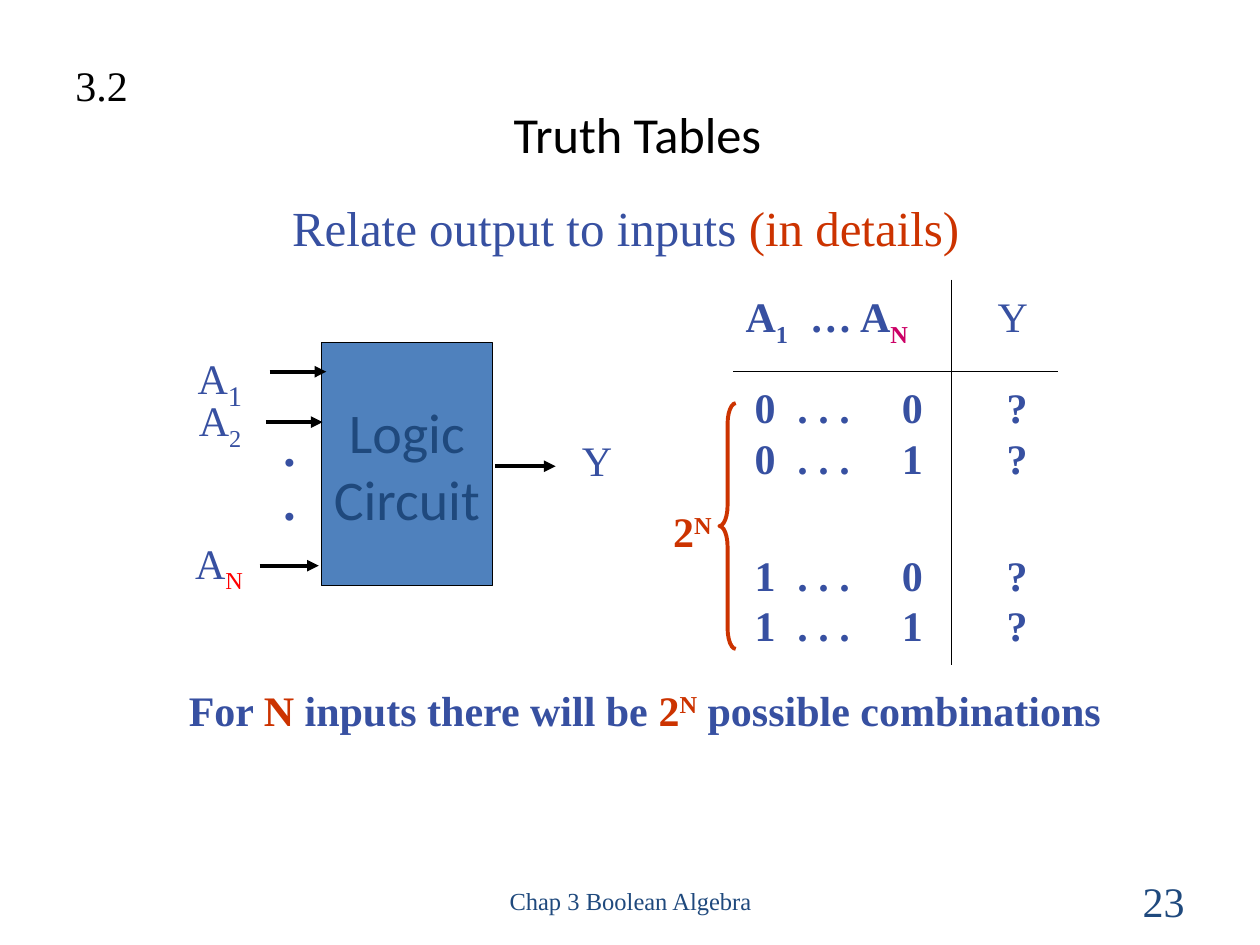
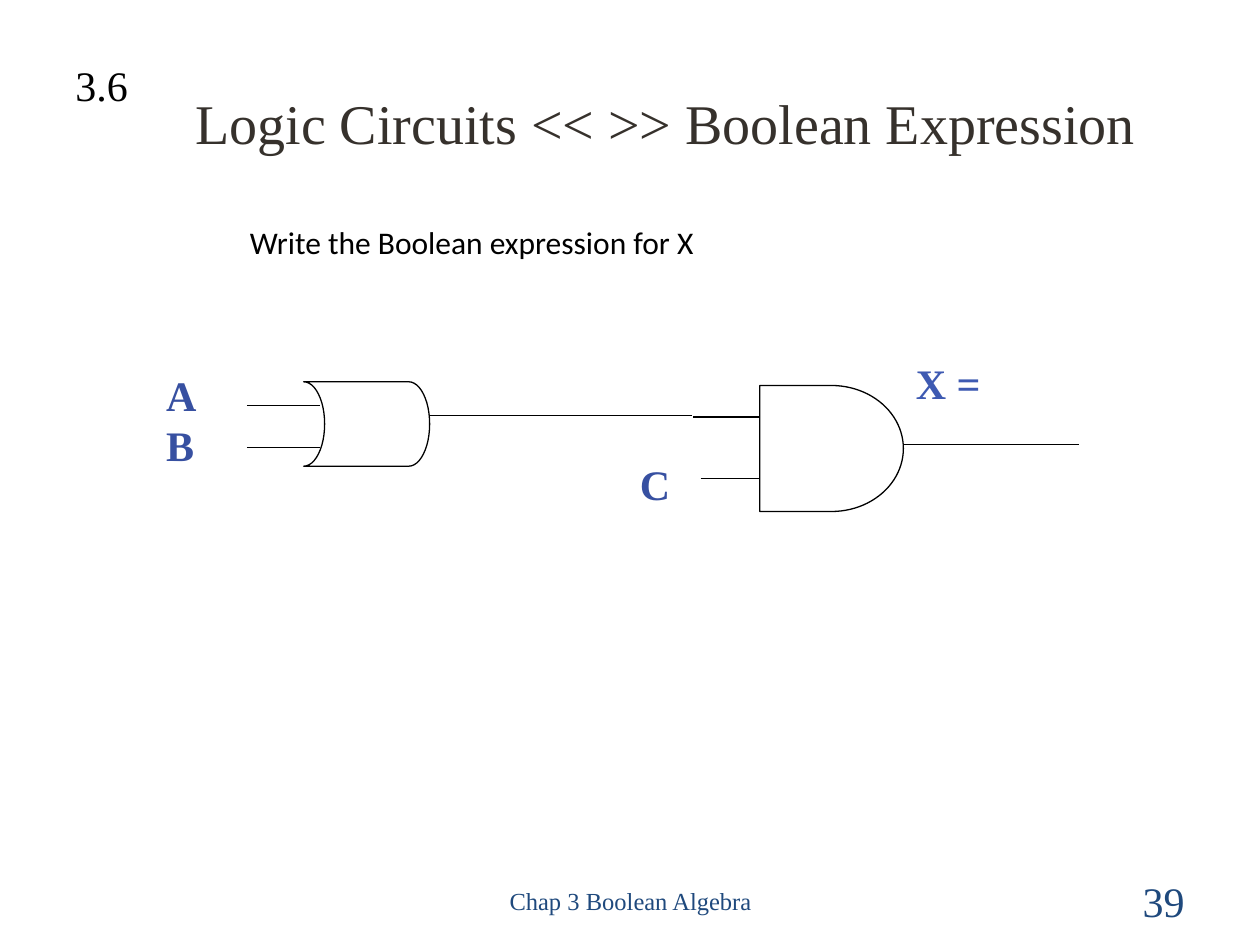
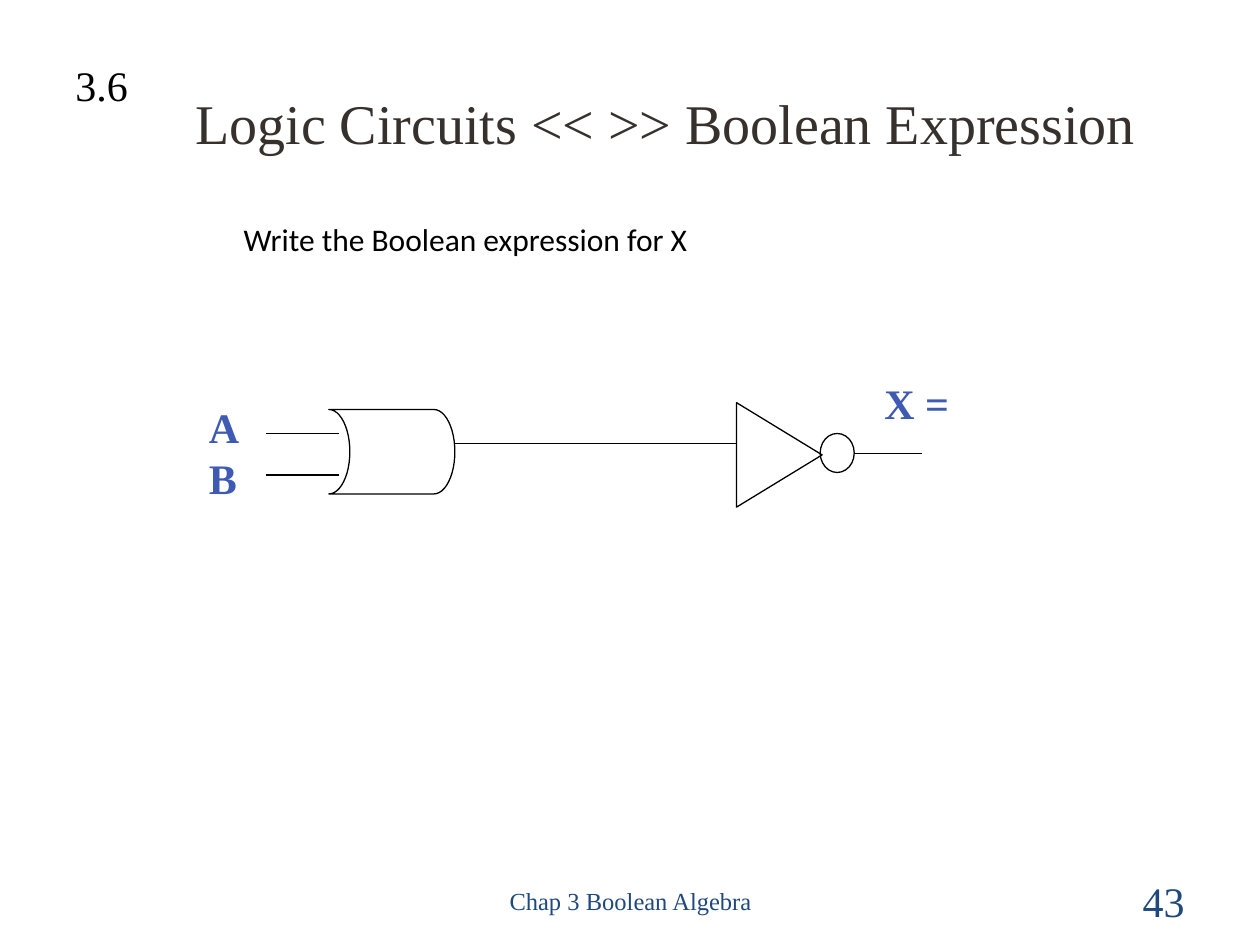
from lxml import etree
from pptx import Presentation
from pptx.dml.color import RGBColor
from pptx.enum import shapes, text
from pptx.oxml.ns import qn
from pptx.util import Inches, Pt

COLOURS = {
    "black": "000000",
    "ink": "36312C",
    "navy": "1F497D",
    "blue": "3750A1",
    "bright": "3E5AB2",
    "box": "4F81BD",
    "rust": "CC3300",
    "pink": "CC0066",
    "red": "FF0000",
}
SERIF, SANS = "Times New Roman", "Calibri"
LEFT, CENTER, RIGHT = text.PP_ALIGN.LEFT, text.PP_ALIGN.CENTER, text.PP_ALIGN.RIGHT
MIDDLE, TOP = text.MSO_ANCHOR.MIDDLE, text.MSO_ANCHOR.TOP
SUB, SUPER = -25000, 30000
GATE = shapes.MSO_SHAPE


def rgb(name):
    return RGBColor.from_string(COLOURS[name])


# Text
def set_tabs(para, stops):
    properties = para._p.get_or_add_pPr()
    tabs = etree.SubElement(properties, qn("a:tabLst"))
    for stop in stops:
        etree.SubElement(tabs, qn("a:tab"), pos=str(Inches(stop)), algn="l")


def write(frame, lines, size=24, colour="blue", font=SERIF, bold=False,
          align=LEFT, anchor=TOP, wrap=False, spacing=None, before=0, tabs=()):
    """Each line is a string or a list of (text, overrides) spans."""
    frame.word_wrap = wrap
    frame.auto_size = text.MSO_AUTO_SIZE.NONE
    frame.vertical_anchor = anchor
    for index, line in enumerate(lines):
        para = frame.add_paragraph() if index else frame.paragraphs[0]
        if tabs:
            set_tabs(para, tabs)
        para.alignment = align
        if spacing:
            para.line_spacing = spacing
        if index and before:
            para.space_before = Pt(before)
        for words, style in [(line, {})] if isinstance(line, str) else line:
            span = para.add_run()
            span.text = words
            span.font.name = font
            span.font.bold = bold
            span.font.size = Pt(style.get("size", size))
            span.font.color.rgb = rgb(style.get("colour", colour))
            if "baseline" in style:
                span._r.get_or_add_rPr().set("baseline", str(style["baseline"]))


def add_text(page, place, *lines, **style):
    box = page.shapes.add_textbox(*map(Inches, place))
    write(box.text_frame, lines, **style)


# Lines and shapes
def add_line(page, start, end, width=0.75, arrow=False):
    line = page.shapes.add_connector(
        shapes.MSO_CONNECTOR.STRAIGHT, *map(Inches, start + end))
    line.line.color.rgb = rgb("black")
    line.line.width = Pt(width)
    if arrow:
        etree.SubElement(line.line._get_or_add_ln(), qn("a:tailEnd"), type="triangle")
    etree.SubElement(line._element.spPr, qn("a:effectLst"))


def add_wire(page, left, right, y, **style):
    add_line(page, (left, y), (right, y), **style)


def add_outline(page, kind, place, rotation=0, colour="black", width=0.75, fill=None):
    shape = page.shapes.add_shape(kind, *map(Inches, place))
    shape.shadow.inherit = False
    shape.rotation = rotation
    shape.line.color.rgb = rgb(colour)
    shape.line.width = Pt(width)
    if fill:
        shape.fill.solid()
        shape.fill.fore_color.rgb = rgb(fill)
    else:
        shape.fill.background()
    return shape


def add_or_gate(page, left, top, wire_left):
    add_outline(page, GATE.FLOWCHART_STORED_DATA, (left, top, 1, 0.67), rotation=180)
    for offset in (0.19, 0.52):
        add_wire(page, wire_left, wire_left + 0.58, top + offset)


# Parts shared by all slides
def add_page(deck, section, number, title, place, **title_style):
    page = deck.slides.add_slide(deck.slide_layouts[5])
    heading = page.shapes.title
    heading.left, heading.top, heading.width, heading.height = map(Inches, place)
    write(heading.text_frame, [title], align=CENTER, wrap=True, **title_style)
    add_text(page, (0.5, 0.42, 0.62, 0.5), section, colour="black")
    footer = dict(colour="navy", anchor=MIDDLE, wrap=True)
    add_text(page, (3.42, 6.95, 3.17, 0.4), "Chap 3 Boolean Algebra",
             size=14, align=CENTER, **footer)
    add_text(page, (7.17, 6.95, 2.33, 0.4), str(number), align=RIGHT, **footer)
    return page


def add_exercise_page(deck, number, prompt_at, answer_at):
    page = add_page(deck, "3.6", number, "Logic Circuits << >> Boolean Expression",
                    (1.36, 0.65, 7.85, 0.63), size=32, colour="ink")
    add_text(page, prompt_at + (5.21, 0.5), "Write the Boolean expression for X",
             size=18, font=SANS, colour="black", align=CENTER, wrap=True)
    add_text(page, answer_at + (0.72, 0.5), "X =", colour="bright", bold=True)
    return page


# Slide 1
def add_logic_block(page):
    block = add_outline(page, GATE.RECTANGLE, (2.55, 2.72, 1.36, 1.93), fill="box")
    write(block.text_frame, ["Logic", "Circuit"], size=32, font=SANS,
          colour="navy", align=CENTER, anchor=MIDDLE)
    for left, right, y in [(2.14, 2.59, 2.95), (2.11, 2.56, 3.35),
                           (2.06, 2.53, 4.49), (3.93, 4.41, 3.7)]:
        add_wire(page, left, right, y, width=2.25, arrow=True)
    for left, top, index, style in [(1.47, 2.72, "1", {"size": 28}),
                                    (1.48, 3.11, "2", {}),
                                    (1.45, 4.24, "N", {"colour": "red"})]:
        add_text(page, (left, top, 0.57, 0.44),
                 [("A", {}), (index, {"baseline": SUB, **style})], spacing=0.85)
    add_text(page, (2.15, 3.47, 0.27, 0.8), ".", ".", size=28, bold=True,
             spacing=0.5, before=14, wrap=True)
    add_text(page, (4.52, 3.4, 0.44, 0.62), "Y", wrap=True)


def add_truth_table(page):
    add_line(page, (7.55, 2.22), (7.55, 5.28))
    add_wire(page, 5.82, 8.4, 2.95)
    add_text(page, (5.82, 2.26, 1.64, 0.5),
             [("A", {}), ("1", {"baseline": SUB}), ("\t… A", {}),
              ("N", {"baseline": SUB, "colour": "pink"})],
             bold=True, wrap=True, tabs=(0.51,))
    add_text(page, (7.82, 2.26, 0.44, 0.77), "Y", wrap=True)
    for first, top in (("0", 2.98), ("1", 4.31)):
        rows = [f"{first}\t. . .\t{last}\t?" for last in "01"]
        add_text(page, (5.89, top, 2.37, 0.9), *rows, bold=True, wrap=True,
                 tabs=(0.34, 1.17, 2))
    brace = add_outline(page, GATE.LEFT_BRACE, (5.71, 3.2, 0.13, 1.95),
                        colour="rust", width=2.25)
    brace.adjustments[0] = 1.26
    add_text(page, (5.15, 3.96, 0.69, 0.5), [("2", {}), ("N", {"baseline": SUPER})],
             colour="rust", bold=True, align=CENTER, wrap=True)


def build_truth_tables(deck):
    page = add_page(deck, "3.2", 23, "Truth Tables", (1.85, 0.77, 6.42, 0.58),
                    size=28.8, font=SANS, colour="black", anchor=MIDDLE)
    rust = {"colour": "rust"}
    add_text(page, (2.22, 1.52, 5.49, 0.57),
             [("Relate output to inputs ", {}), ("(in details)", rust)], size=28)
    add_logic_block(page)
    add_truth_table(page)
    add_text(page, (1.4, 5.38, 7.48, 0.5),
             [("For ", {}), ("N", rust), (" inputs there will be ", {}), ("2", rust),
              ("N", {"baseline": SUPER, **rust}), (" possible combinations", {})],
             bold=True)


# Slide 2
def build_or_and(deck):
    page = add_exercise_page(deck, 39, (1.14, 1.72), (7.17, 2.79))
    add_text(page, (1.22, 2.88, 0.44, 0.9), "A", "B", bold=True)
    add_text(page, (4.98, 3.59, 0.44, 0.5), "C", bold=True)
    add_or_gate(page, 2.41, 3.03, wire_left=1.96)
    add_outline(page, GATE.FLOWCHART_DELAY, (6.03, 3.06, 1.14, 1))
    for left, right, y in [(3.41, 5.49, 3.3), (5.5, 6.03, 3.31),
                           (5.56, 6.03, 3.8), (7.17, 8.56, 3.53)]:
        add_wire(page, left, right, y)


# Slide 3
def build_or_not(deck):
    page = add_exercise_page(deck, 43, (1.09, 1.7), (6.92, 2.95))
    add_text(page, (1.56, 3.14, 0.44, 0.9), "A", "B", colour="bright", bold=True)
    add_or_gate(page, 2.61, 3.25, wire_left=2.11)
    add_outline(page, GATE.FLOWCHART_MERGE, (5.77, 3.27, 0.83, 0.68), rotation=270)
    add_outline(page, GATE.OVAL, (6.51, 3.44, 0.27, 0.31))
    for left, right, y in [(3.61, 5.24, 3.52), (5.18, 5.85, 3.52), (6.78, 7.32, 3.6)]:
        add_wire(page, left, right, y)


def main():
    deck = Presentation()
    deck.slide_width, deck.slide_height = Inches(10), Inches(7.5)
    build_truth_tables(deck)
    build_or_and(deck)
    build_or_not(deck)
    deck.save("out.pptx")


if __name__ == "__main__":
    main()
